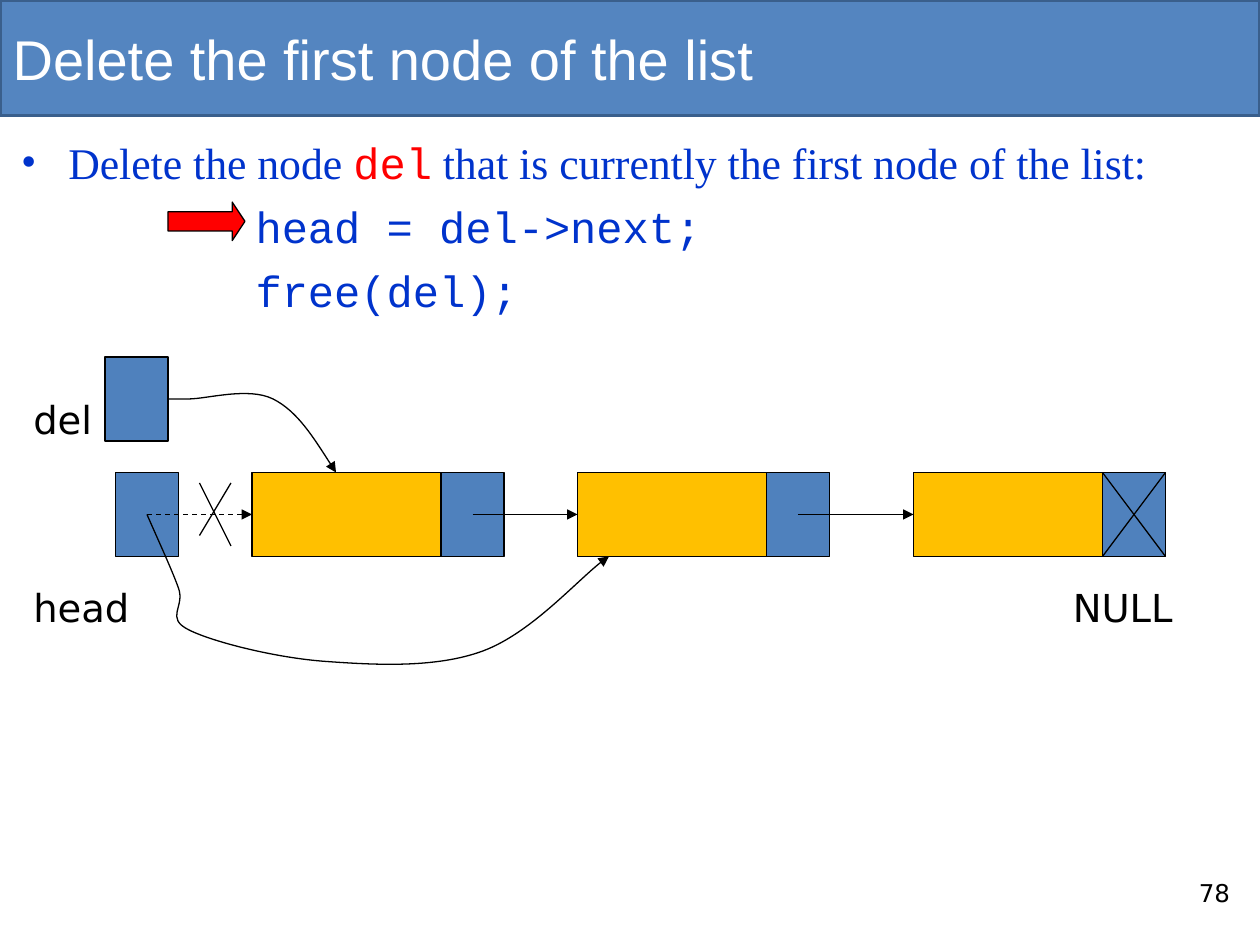
from dataclasses import dataclass

from lxml.etree import SubElement
from pptx import Presentation
from pptx.dml.color import RGBColor
from pptx.enum.dml import MSO_LINE
from pptx.enum.shapes import MSO_CONNECTOR, MSO_SHAPE
from pptx.enum.text import MSO_ANCHOR, MSO_AUTO_SIZE, PP_ALIGN
from pptx.oxml.ns import qn
from pptx.util import Pt

BLACK = RGBColor(0, 0, 0)
WHITE = RGBColor(255, 255, 255)
RED = RGBColor(255, 0, 0)
BAR_FILL = RGBColor(0x54, 0x85, 0xC0)
BAR_LINE = RGBColor(0x3A, 0x5F, 0x8C)
TEXT_BLUE = RGBColor(0x00, 0x33, 0xCC)
DATA_FILL = RGBColor(0xFF, 0xC0, 0x00)
POINTER_FILL = RGBColor(0x4F, 0x81, 0xBD)

SERIF, MONO, SANS, LABEL = "Times New Roman", "Courier New", "Arial", "DejaVu Sans"

ROW_Y, CELL_H = 270, 48
DATA_W, POINTER_W = 108, 36
MID_Y = ROW_Y + CELL_H / 2
NODE_XS = (144, 330, 522)
HEAD_X = 66


@dataclass(frozen=True)
class Label:
    text: str
    x: float
    y: float
    w: float
    h: float = 34
    size: float = 22


@dataclass(frozen=True)
class Curve:
    """A start point followed by three points for each Bézier segment."""
    points: tuple


LABELS = (
    Label("NULL", 606, 330, 84),
    Label("head", 12, 330, 78),
    Label("del", 12, 223, 78),
    Label("78", 678, 498, 36, 29, 14),
)

CURVES = (
    Curve(((96, 228), (97, 228), (98, 228), (108, 228),
           (118, 228), (142, 221), (156, 228), (170, 235), (181, 253), (192, 270))),
    Curve(((84, 294), (91, 310), (98, 325), (102, 336),
           (106, 347), (94, 353), (108, 360), (122, 367), (158, 376), (186, 378),
           (214, 380), (249, 382), (276, 372), (303, 362), (335, 326), (348, 318))),
)


def outline(line, arrow: bool = False) -> None:
    line.color.rgb = BLACK
    line.width = Pt(0.75)
    if arrow:
        SubElement(line._get_or_add_ln(), qn("a:tailEnd"), type="triangle")


def add_block(s, kind, x: float, y: float, w: float, h: float, fill: RGBColor):
    sp = s.shapes.add_shape(kind, Pt(x), Pt(y), Pt(w), Pt(h))
    sp.shadow.inherit = False
    sp.fill.solid()
    sp.fill.fore_color.rgb = fill
    outline(sp.line)
    return sp


def add_pointer_cell(s, x: float, y: float = ROW_Y):
    return add_block(s, MSO_SHAPE.RECTANGLE, x, y, POINTER_W, CELL_H, POINTER_FILL)


def add_line(shapes, x1: float, y1: float, x2: float, y2: float,
             target=None, dashed: bool = False) -> None:
    """Draw a line; with a target it becomes an arrow joined to its left side."""
    c = shapes.add_connector(MSO_CONNECTOR.STRAIGHT, Pt(x1), Pt(y1), Pt(x2), Pt(y2))
    if dashed:
        c.line.dash_style = MSO_LINE.DASH
    outline(c.line, arrow=target is not None)
    SubElement(c._element.spPr, qn("a:effectLst"))
    if target is not None:
        c.end_connect(target, 1)


def add_curve(s, curve: Curve) -> None:
    points = [(Pt(x), Pt(y)) for x, y in curve.points]
    builder = s.shapes.build_freeform(*points[0])
    builder.add_line_segments(points[1:], close=False)
    sp = builder.convert_to_shape()
    sp.shadow.inherit = False
    sp.fill.background()
    outline(sp.line, arrow=True)
    # Turn every three straight steps into one cubic segment.
    path = next(sp._element.iter(qn("a:path")))
    steps = path.findall(qn("a:lnTo"))
    for i in range(0, len(steps), 3):
        cubic = SubElement(path, qn("a:cubicBezTo"))
        for step in steps[i:i + 3]:
            cubic.append(step[0])
            path.remove(step)


def style(r, font: str, size: float, color: RGBColor) -> None:
    r.font.name = font
    r.font.size = Pt(size)
    r.font.color.rgb = color


def add_label(s, label: Label) -> None:
    tf = s.shapes.add_textbox(Pt(label.x), Pt(label.y), Pt(label.w), Pt(label.h)).text_frame
    tf.word_wrap = True
    tf.text = label.text
    style(tf.paragraphs[0].runs[0], LABEL, label.size, BLACK)


def add_title(s) -> None:
    title = s.shapes.title
    title.left, title.top, title.width, title.height = Pt(0), Pt(0), Pt(720), Pt(66)
    title.fill.solid()
    title.fill.fore_color.rgb = BAR_FILL
    title.line.color.rgb = BAR_LINE
    title.line.width = Pt(2)
    tf = title.text_frame
    tf.text = "Delete the first node of the list"
    tf.auto_size = MSO_AUTO_SIZE.NONE
    tf.vertical_anchor = MSO_ANCHOR.MIDDLE
    p = tf.paragraphs[0]
    p.alignment = PP_ALIGN.LEFT
    style(p.runs[0], SANS, 32, WHITE)


def add_body(s) -> None:
    tf = s.shapes.add_textbox(Pt(5), Pt(74), Pt(709), Pt(226)).text_frame
    tf.word_wrap = True
    p = tf.paragraphs[0]
    pPr = p._p.get_or_add_pPr()
    pPr.set("marL", str(Pt(27)))
    pPr.set("indent", str(-Pt(27)))
    SubElement(pPr, qn("a:buFont"), typeface=SERIF)
    SubElement(pPr, qn("a:buChar"), char="•")
    for text, font, color in (
        ("Delete the node ", SERIF, TEXT_BLUE),
        ("del", MONO, RED),
        (" that is currently the first node of the list:", SERIF, TEXT_BLUE),
    ):
        r = p.add_run()
        r.text = text
        style(r, font, 25, color)
    for code in ("head = del->next;", "free(del);"):
        p = tf.add_paragraph()
        p.text = code
        p.space_before = Pt(6.5)
        p._p.get_or_add_pPr().set("marL", str(Pt(134)))
        style(p.runs[0], MONO, 25, TEXT_BLUE)


def add_list_diagram(s) -> None:
    nodes = []
    for x in NODE_XS:
        nodes.append(add_block(s, MSO_SHAPE.RECTANGLE, x, ROW_Y, DATA_W, CELL_H, DATA_FILL))
        add_pointer_cell(s, x + DATA_W)
    for x, next_x, next_node in zip(NODE_XS, NODE_XS[1:], nodes[1:]):
        add_line(s.shapes, x + DATA_W + POINTER_W / 2, MID_Y, next_x, MID_Y, next_node)

    null_x = NODE_XS[-1] + DATA_W
    add_line(s.shapes, null_x, ROW_Y, null_x + POINTER_W, ROW_Y + CELL_H)
    add_line(s.shapes, null_x + POINTER_W, ROW_Y, null_x, ROW_Y + CELL_H)

    add_pointer_cell(s, HEAD_X)
    add_line(s.shapes, HEAD_X + POINTER_W / 2, MID_Y, NODE_XS[0], MID_Y, nodes[0], dashed=True)
    add_pointer_cell(s, 60, 204)

    cross_out = s.shapes.add_group_shape()
    add_line(cross_out.shapes, 114, 276, 132, 312)
    add_line(cross_out.shapes, 132, 276, 114, 306)


def main() -> None:
    prs = Presentation()
    prs.slide_width, prs.slide_height = Pt(720), Pt(540)
    s = prs.slides.add_slide(prs.slide_layouts[5])
    add_title(s)
    add_body(s)
    add_list_diagram(s)
    for curve in CURVES:
        add_curve(s, curve)
    for label in LABELS:
        add_label(s, label)
    step_arrow = add_block(s, MSO_SHAPE.RIGHT_ARROW, 96, 115.5, 44, 22, RED)
    step_arrow.adjustments[1] = 0.33
    prs.save("out.pptx")


if __name__ == "__main__":
    main()
